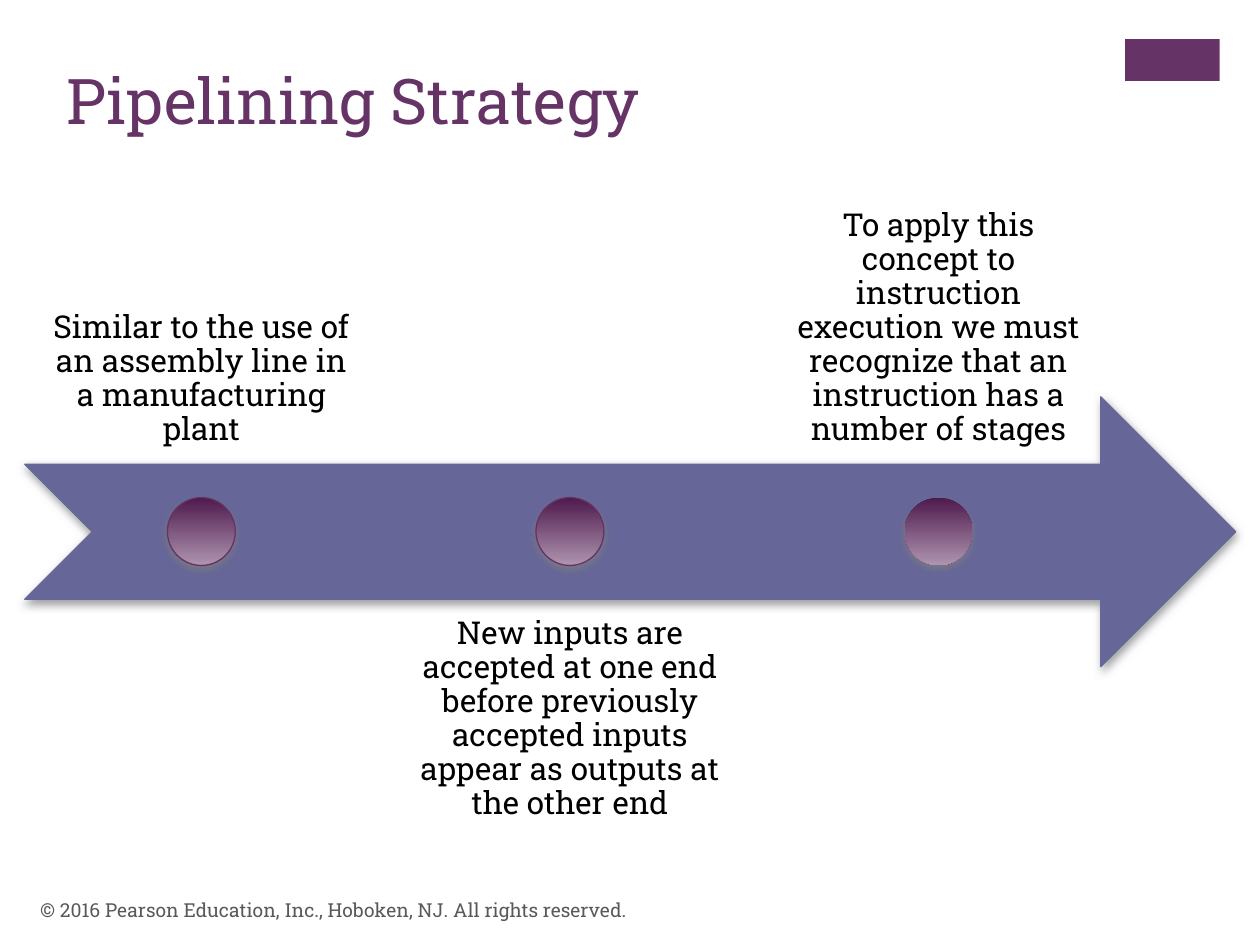
from dataclasses import dataclass

from lxml.etree import SubElement
from pptx import Presentation
from pptx.dml.color import RGBColor
from pptx.enum.shapes import MSO_SHAPE as Preset
from pptx.enum.text import MSO_ANCHOR as Anchor, PP_ALIGN as Align
from pptx.oxml.ns import qn
from pptx.shapes.autoshape import Shape
from pptx.slide import Slide
from pptx.util import Cm, Pt

FONT = "Roboto Slab"
PURPLE = "663366"
SLATE = "666699"
FIRST_CENTER, PITCH = 4.06, 7.43
DOT_TOP, DOT_SIZE = 10.03, 1.37
LABEL_WIDTH, LABEL_HEIGHT = 7.09, 5.44


@dataclass(frozen=True)
class Box:
    left: float
    top: float
    width: float
    height: float

    def lengths(self) -> tuple[Cm, Cm, Cm, Cm]:
        return Cm(self.left), Cm(self.top), Cm(self.width), Cm(self.height)


@dataclass(frozen=True)
class Milestone:
    text: str
    label_top: float
    anchor: Anchor
    outlined: bool = True


MILESTONES = [
    Milestone("Similar to the use of an assembly line in a manufacturing plant", 3.94, Anchor.BOTTOM),
    Milestone(
        "New inputs are accepted at one end before previously accepted inputs "
        "appear as outputs at the other end",
        12.09,
        Anchor.TOP,
    ),
    Milestone(
        "To apply this concept to instruction execution we must recognize that "
        "an instruction has a number of stages",
        3.94,
        Anchor.BOTTOM,
        outlined=False,
    ),
]


def color(value: str) -> RGBColor:
    return RGBColor.from_string(value)


def add_shape(slide: Slide, preset: Preset, box: Box, fill: str, line: str | None = None) -> Shape:
    shape = slide.shapes.add_shape(preset, *box.lengths())
    shape.shadow.inherit = False
    shape.fill.solid()
    shape.fill.fore_color.rgb = color(fill)
    if line:
        shape.line.color.rgb = color(line)
        shape.line.width = Pt(0.75)
    else:
        shape.line.fill.background()
    return shape


def add_soft_shadow(shape: Shape) -> None:
    effects = shape.element.spPr.find(qn("a:effectLst"))
    shadow = SubElement(
        effects, qn("a:outerShdw"), blurRad=str(Pt(5)), dist=str(Pt(2)), dir="5400000", rotWithShape="0"
    )
    shade = SubElement(shadow, qn("a:srgbClr"), val="808080")
    SubElement(shade, qn("a:alpha"), val="75000")


def add_text(
    slide: Slide,
    box: Box,
    text: str,
    size: float,
    fill: str,
    anchor: Anchor = Anchor.TOP,
) -> Shape:
    shape = slide.shapes.add_textbox(*box.lengths())
    frame = shape.text_frame
    frame.text = text
    frame.word_wrap = True
    frame.vertical_anchor = anchor
    font = frame.paragraphs[0].runs[0].font
    font.name = FONT
    font.size = Pt(size)
    font.color.rgb = color(fill)
    return shape


def add_label(slide: Slide, milestone: Milestone, center: float) -> None:
    box = Box(center - LABEL_WIDTH / 2, milestone.label_top, LABEL_WIDTH, LABEL_HEIGHT)
    frame = add_text(slide, box, milestone.text, 18, "000000", milestone.anchor).text_frame
    frame.margin_left = frame.margin_right = frame.margin_top = frame.margin_bottom = Cm(0.36)
    paragraph = frame.paragraphs[0]
    paragraph.alignment = Align.CENTER
    paragraph.line_spacing = 0.9


def add_dot(slide: Slide, milestone: Milestone, center: float) -> None:
    box = Box(center - DOT_SIZE / 2, DOT_TOP, DOT_SIZE, DOT_SIZE)
    dot = add_shape(slide, Preset.OVAL, box, PURPLE, PURPLE if milestone.outlined else None)
    dot.fill.gradient()
    dot.fill.gradient_angle = 270
    for stop, shade, position in zip(dot.fill.gradient_stops, ("4D1A4D", "AF94AF"), (0, 1)):
        stop.color.rgb = color(shade)
        stop.position = position
    add_soft_shadow(dot)


def main() -> None:
    """Build the pipelining strategy slide."""
    presentation = Presentation()
    presentation.slide_width, presentation.slide_height = Cm(25.4), Cm(19.05)
    slide = presentation.slides.add_slide(presentation.slide_layouts[6])

    add_shape(slide, Preset.RECTANGLE, Box(22.68, 0.79, 1.91, 0.84), PURPLE)
    add_text(slide, Box(1.09, 1.12, 20.98, 3.1), "Pipelining Strategy", 36, PURPLE)

    arrow = add_shape(slide, Preset.NOTCHED_RIGHT_ARROW, Box(0.5, 8, 24.41, 5.44), SLATE, SLATE)
    add_soft_shadow(arrow)
    for index, milestone in enumerate(MILESTONES):
        center = FIRST_CENTER + index * PITCH
        add_label(slide, milestone, center)
        add_dot(slide, milestone, center)

    add_text(
        slide,
        Box(0.56, 17.83, 17.02, 1.02),
        "© 2016 Pearson Education, Inc., Hoboken, NJ. All rights reserved.",
        11,
        "595959",
        Anchor.MIDDLE,
    )
    presentation.save("out.pptx")


if __name__ == "__main__":
    main()
